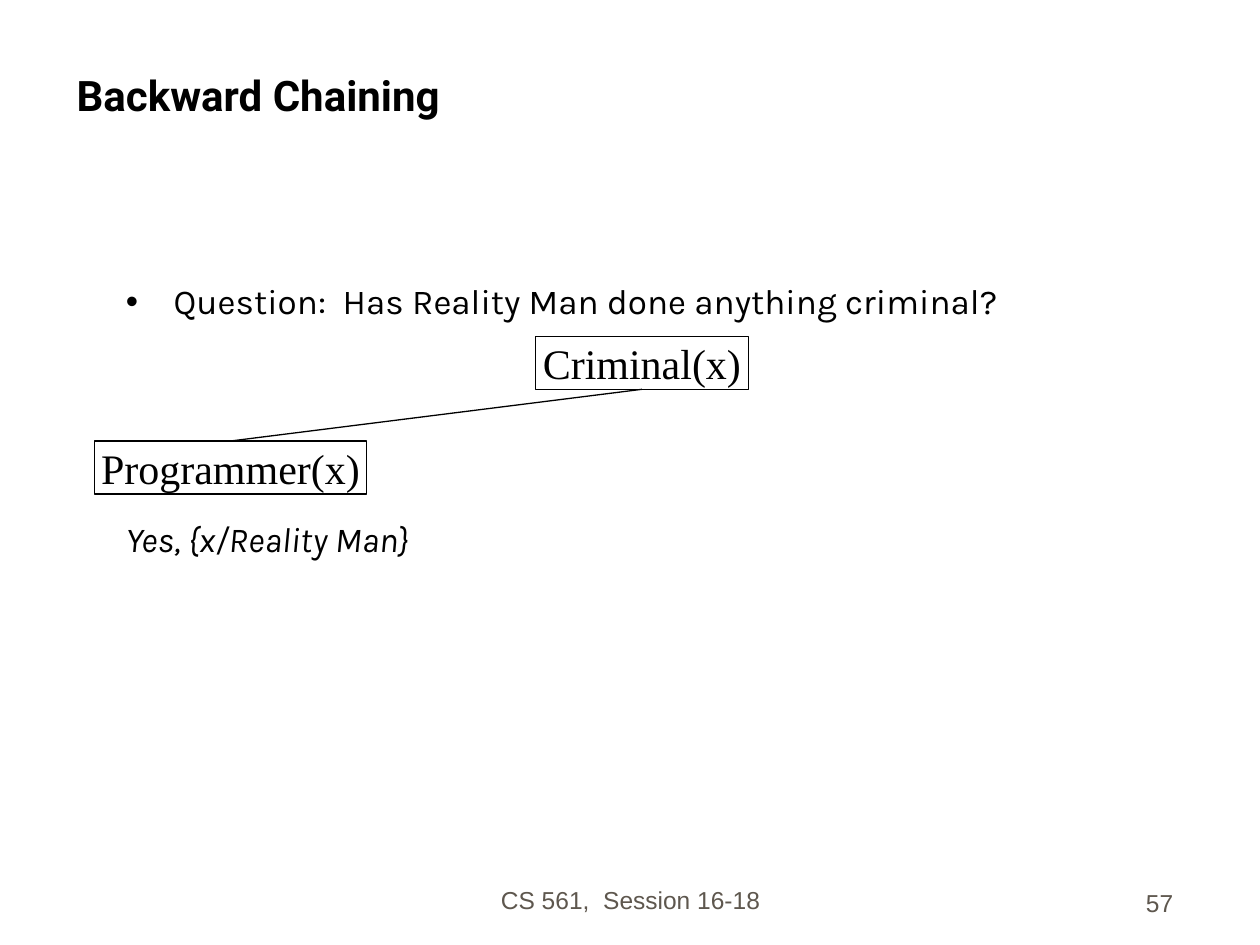
"""Build the Backward Chaining slide: a question, its two-node proof tree and the answer."""
from dataclasses import dataclass, field

from lxml.etree import SubElement
from pptx import Presentation
from pptx.dml.color import RGBColor
from pptx.enum.shapes import MSO_CONNECTOR, MSO_SHAPE
from pptx.enum.text import MSO_ANCHOR, PP_ALIGN
from pptx.oxml.ns import qn
from pptx.util import Inches, Pt

WIDTH, HEIGHT = Inches(10), Inches(7.5)
BOTTOM_SIDE, TOP_SIDE = 2, 0


@dataclass(frozen=True)
class Theme:
    """Colours, line width and text formats."""
    ink: RGBColor = RGBColor(0, 0, 0)
    muted: RGBColor = RGBColor(0x5E, 0x57, 0x4E)
    line_width: Pt = Pt(0.75)
    title: dict = field(default_factory=lambda: {"name": "Roboto", "size": Pt(24), "bold": True})
    body: dict = field(default_factory=lambda: {"name": "Karla", "size": Pt(20)})
    node: dict = field(default_factory=lambda: {"name": "Times New Roman", "size": Pt(24)})
    footer: dict = field(default_factory=lambda: {"name": "Arial", "size": Pt(14)})


THEME = Theme()


@dataclass(frozen=True)
class Area:
    """A rectangle in percent of the slide's width and height."""
    left: float
    top: float
    width: float
    height: float

    def lengths(self) -> tuple:
        """Return left, top, width and height as slide lengths."""
        shares = (self.left, self.top, self.width, self.height)
        return tuple(int(share * side / 100) for share, side in zip(shares, (WIDTH, HEIGHT) * 2))


@dataclass(frozen=True)
class Label:
    """One text box with a single paragraph."""
    text: str
    area: Area
    style: dict
    color: RGBColor
    align: PP_ALIGN


@dataclass(frozen=True)
class Node:
    """One predicate of the proof tree."""
    text: str
    area: Area


LABELS = (
    Label("CS 561,  Session 16-18", Area(34.2, 90.8, 31.7, 6.67), THEME.footer, THEME.muted, PP_ALIGN.CENTER),
    Label("57", Area(73.3, 91.07, 20.8, 6.67), THEME.footer, THEME.muted, PP_ALIGN.RIGHT),
    Label("Backward Chaining", Area(5.1, 3.33, 89.2, 10), THEME.title, THEME.ink, PP_ALIGN.LEFT),
)
BODY_AREA = Area(9, 29.47, 88.9, 60)
GOAL = Node("Criminal(x)", Area(42.5, 35.6, 16.9, 5.6))
PREMISE = Node("Programmer(x)", Area(7.5, 46.67, 21.6, 5.6))


def set_values(target, values: dict) -> None:
    """Set each named attribute on the target."""
    for name, value in values.items():
        setattr(target, name, value)


def write(para, text: str, style: dict, color: RGBColor) -> None:
    """Add a formatted run to a paragraph."""
    span = para.add_run()
    span.text = text
    set_values(span.font, style)
    span.font.color.rgb = color


def add_label(page, label: Label) -> None:
    """Draw a bottom-anchored text box."""
    frame = page.shapes.add_textbox(*label.area.lengths()).text_frame
    set_values(frame, {"word_wrap": True, "vertical_anchor": MSO_ANCHOR.BOTTOM})
    para = frame.paragraphs[0]
    para.alignment = label.align
    write(para, label.text, label.style, label.color)


def add_bullet(para) -> None:
    """Give a paragraph a hanging bullet."""
    properties = para._p.get_or_add_pPr()
    indent = Inches(0.38)
    properties.set("marL", str(indent))
    properties.set("indent", str(-indent))
    SubElement(properties, qn("a:buFont"), typeface="Arial")
    SubElement(properties, qn("a:buChar"), char="•")


def add_body(page) -> None:
    """Draw the question and, below the tree, its answer."""
    frame = page.shapes.add_textbox(*BODY_AREA.lengths()).text_frame
    frame.word_wrap = True
    question, answer = frame.paragraphs[0], frame.add_paragraph()
    question.line_spacing = 0.9
    add_bullet(question)
    write(question, "Question:  Has Reality Man done anything criminal?", THEME.body, THEME.ink)
    set_values(answer, {"line_spacing": 0.8, "space_before": Pt(116)})
    write(answer, "Yes, {x/Reality Man}", {**THEME.body, "italic": True}, THEME.ink)


def draw_line(line) -> None:
    """Apply the theme's outline."""
    line.color.rgb = THEME.ink
    line.width = THEME.line_width


def add_node(page, node: Node):
    """Draw a predicate box and return it."""
    box = page.shapes.add_shape(MSO_SHAPE.RECTANGLE, *node.area.lengths())
    box.shadow.inherit = False
    box.fill.background()
    draw_line(box.line)
    set_values(box.text_frame, {"word_wrap": False, "vertical_anchor": MSO_ANCHOR.MIDDLE})
    para = box.text_frame.paragraphs[0]
    para.alignment = PP_ALIGN.CENTER
    write(para, node.text, THEME.node, THEME.ink)
    return box


def add_link(page, parent, child) -> None:
    """Join the parent's bottom to the child's top."""
    link = page.shapes.add_connector(MSO_CONNECTOR.STRAIGHT, 0, 0, 0, 0)
    link.begin_connect(parent, BOTTOM_SIDE)
    link.end_connect(child, TOP_SIDE)
    draw_line(link.line)
    SubElement(link._element.spPr, qn("a:effectLst"))


def main() -> None:
    """Build and save the deck."""
    deck = Presentation()
    set_values(deck, {"slide_width": WIDTH, "slide_height": HEIGHT})
    page = deck.slides.add_slide(deck.slide_layouts[6])
    for label in LABELS:
        add_label(page, label)
    add_body(page)
    add_link(page, add_node(page, GOAL), add_node(page, PREMISE))
    deck.save("out.pptx")


if __name__ == "__main__":
    main()
